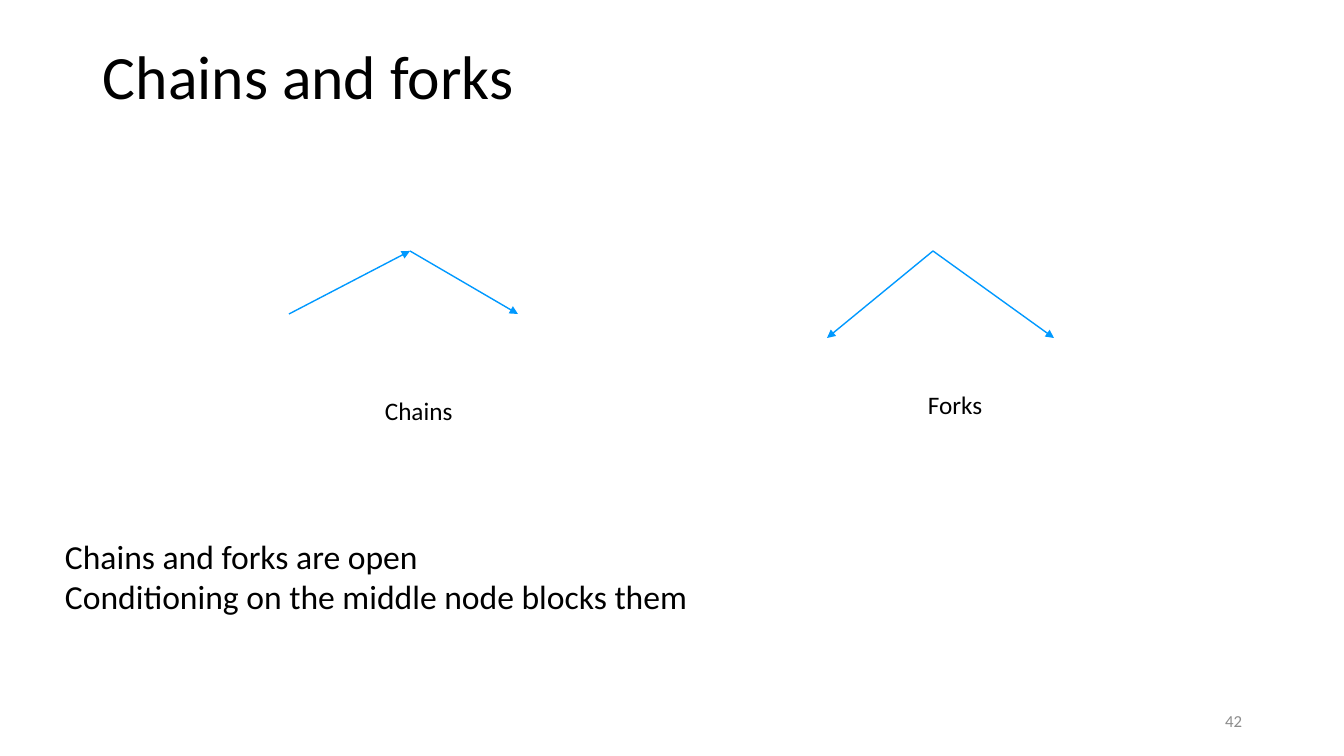
from lxml import etree
from pptx import Presentation
from pptx import util as u
from pptx.dml.color import RGBColor
from pptx.enum import shapes, text
from pptx.oxml.ns import qn

BLACK = RGBColor(0x00, 0x00, 0x00)
GREY = RGBColor(0x8C, 0x8C, 0x8C)
BLUE = RGBColor(0x00, 0x99, 0xFF)
PX = u.Inches(1) / 100.8


def px(n):
    return u.Emu(round(n * PX))


class Page:
    font = "Calibri"

    def __init__(self, slide):
        self.s = slide

    def text(self, box, lines, size, color=BLACK, align=text.PP_ALIGN.LEFT,
             anchor=text.MSO_ANCHOR.TOP, spacing=1.0):
        sp = self.s.shapes.add_textbox(*map(px, box))
        tf = sp.text_frame
        tf.word_wrap = True
        tf.vertical_anchor = anchor
        tf.text = lines
        for p in tf.paragraphs:
            p.alignment = align
            p.line_spacing = spacing
            for r in p.runs:
                r.font.name = self.font
                r.font.size = u.Pt(size)
                r.font.color.rgb = color

    def arrow(self, start, end):
        sp = self.s.shapes.add_connector(
            shapes.MSO_CONNECTOR.STRAIGHT, *map(px, start + end))
        sp.line.color.rgb = BLUE
        sp.line.width = u.Pt(1)
        ln = sp.line._get_or_add_ln()
        etree.SubElement(ln, qn("a:tailEnd"), type="triangle")
        etree.SubElement(sp._element.spPr, qn("a:effectLst"))


prs = Presentation()
prs.slide_width, prs.slide_height = px(1344), px(756)
page = Page(prs.slides.add_slide(prs.slide_layouts[6]))

# Title and slide number
page.text((93, 40, 1159, 80), "Chains and forks", 44,
          anchor=text.MSO_ANCHOR.MIDDLE, spacing=0.9)
page.text((950, 701, 302, 40), "42", 12, GREY, text.PP_ALIGN.RIGHT,
          text.MSO_ANCHOR.MIDDLE)

# Chain: through the middle node; fork: out of the middle node
chain_mid, fork_mid = (410, 251), (933, 251)
for start, end in [((289, 314), chain_mid), (chain_mid, (518, 314)),
                   (fork_mid, (827, 338)), (fork_mid, (1054, 338))]:
    page.arrow(start, end)

# Diagram labels
for x, y, label in [(375, 390, "Chains"), (918, 384, "Forks")]:
    page.text((x, y, 120, 40), label, 18)

# Conclusion
page.text((55, 531, 984, 92),
          "Chains and forks are open\n"
          "Conditioning on the middle node blocks them", 24)

prs.save("out.pptx")
